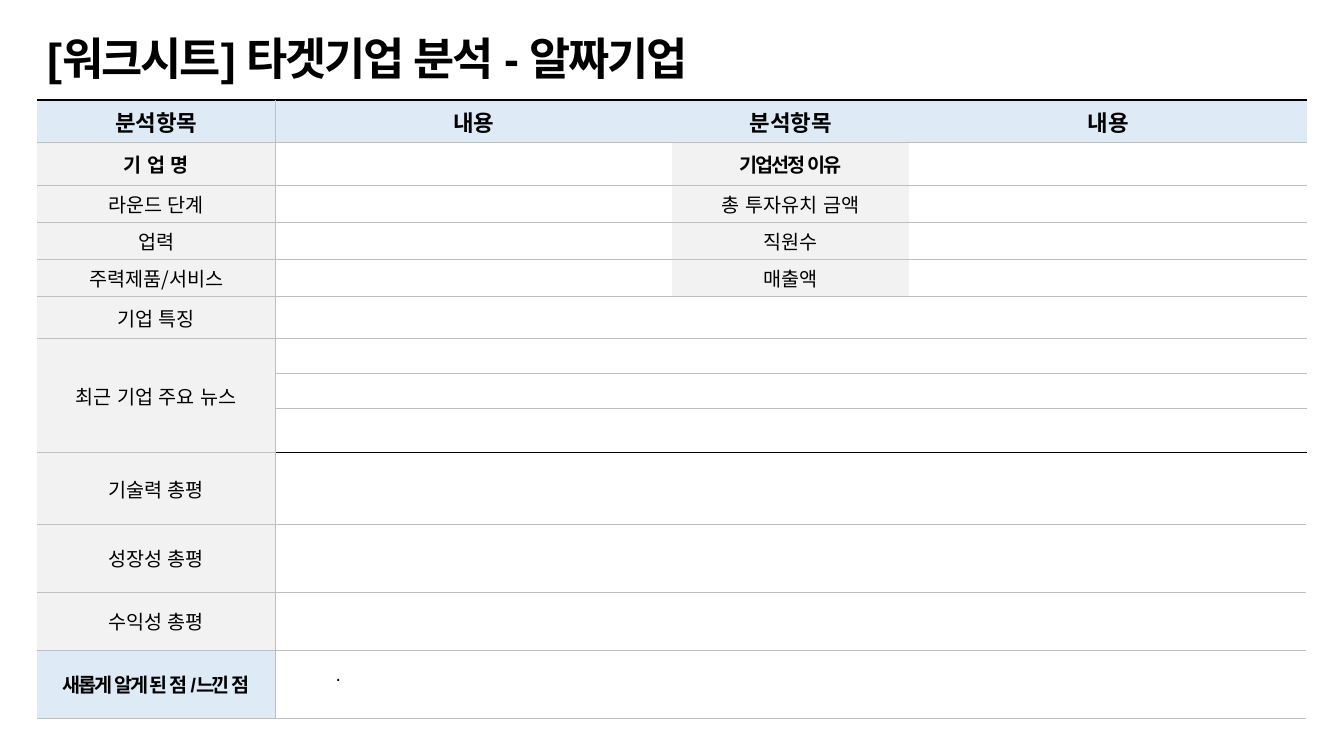
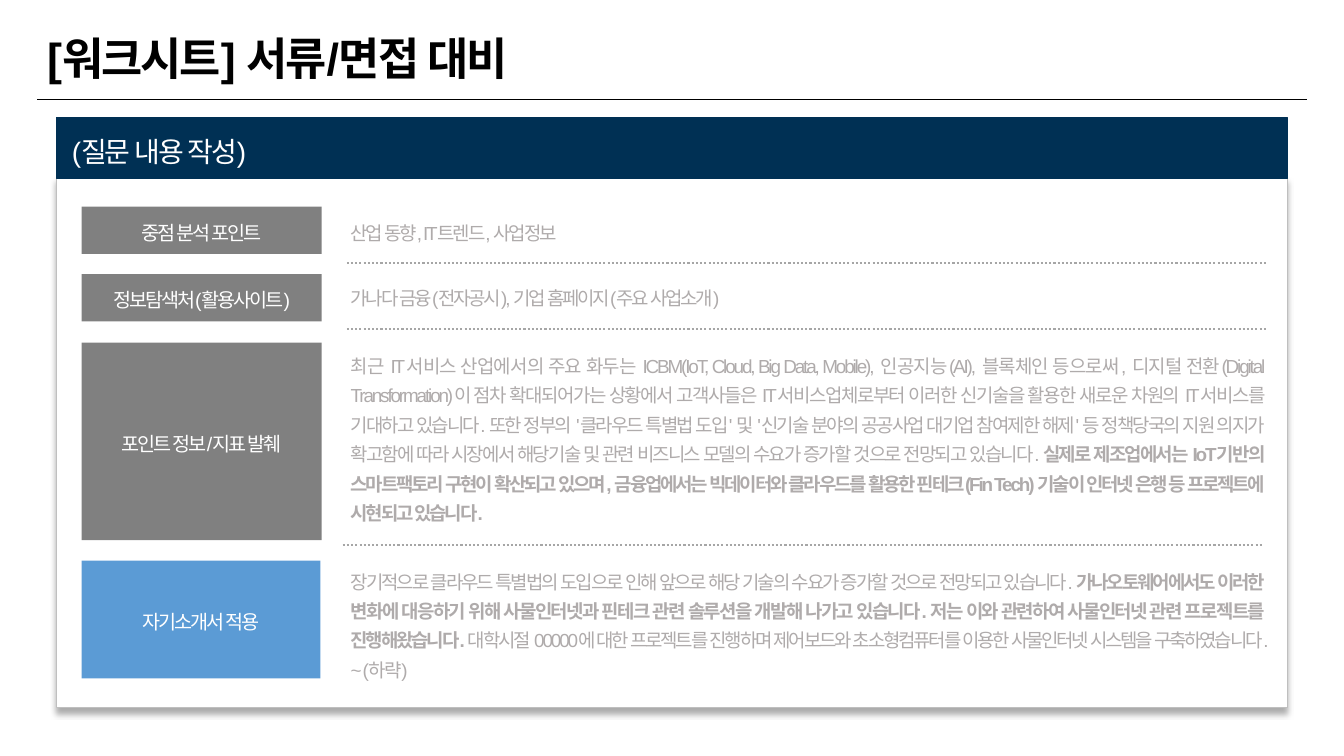
from dataclasses import dataclass

from lxml import etree
from pptx import Presentation
from pptx.dml.color import RGBColor
from pptx.enum import dml, lang, shapes, text
from pptx.oxml import ns
from pptx.util import Pt


@dataclass(frozen=True)
class Theme:
    black: str = "000000"
    white: str = "FFFFFF"
    navy: str = "003054"
    blue: str = "5B9BD5"
    pale_blue: str = "DEEBF7"
    gray: str = "808080"
    pale_gray: str = "F2F2F2"
    border: str = "BFBFBF"
    dots: str = "A6A6A6"
    answer: str = "AFABAB"
    latin: str = "Arial"
    korean: str = "Noto Sans CJK KR"
    title: float = 32
    question: float = 20
    head: float = 16
    label: float = 14
    body: float = 13.5
    tight: float = -1.5


T = Theme()
LEFT, RULE_Y, WIDTH = 26.6, 71.3, 907.2
CENTER, JUSTIFY = text.PP_ALIGN.CENTER, text.PP_ALIGN.JUSTIFY
MIDDLE = text.MSO_ANCHOR.MIDDLE


def write(tf, runs, size=T.label, color=T.black, bold=False, font=T.latin,
          spacing=T.tight, align=None, anchor=None, line=None, before=None):
    """Fill a text frame with one paragraph; runs is a string or (text, bold) pairs."""
    tf.word_wrap = True
    if anchor is not None:
        tf.vertical_anchor = anchor
    p = tf.paragraphs[0]
    p.alignment, p.line_spacing = align, line
    if before:
        p.space_before = Pt(before)
    for content, strong in [(runs, bold)] if isinstance(runs, str) else runs:
        r = p.add_run()
        r.text = content
        r.font.size, r.font.bold, r.font.name = Pt(size), strong, font
        r.font.color.rgb = RGBColor.from_string(color)
        r.font.language_id = lang.MSO_LANGUAGE_ID.KOREAN
        rpr = r._r.get_or_add_rPr()
        rpr.set("spc", str(int(spacing * 100)))
        etree.SubElement(rpr, ns.qn("a:ea"), typeface=T.korean)


def set_borders(cell, **edges):
    """Give each side (L, R, T, B) a (colour, points) line, or none."""
    tcpr = cell._tc.get_or_add_tcPr()
    for side in "LRTB":
        color, weight = edges.get(side) or (None, 0)
        ln = etree.SubElement(tcpr, ns.qn(f"a:ln{side}"), w=str(Pt(weight)))
        if color:
            fill = etree.SubElement(ln, ns.qn("a:solidFill"))
            etree.SubElement(fill, ns.qn("a:srgbClr"), val=color)
        else:
            etree.SubElement(ln, ns.qn("a:noFill"))


prs = Presentation()
prs.slide_width, prs.slide_height = Pt(960), Pt(540)

# Shared title
slides = []
for title in ("[워크시트] 타겟기업 분석 - 알짜기업", "[워크시트] 서류/면접 대비"):
    s = prs.slides.add_slide(prs.slide_layouts[6])
    sp = s.shapes.add_textbox(Pt(LEFT), Pt(15.1), Pt(828), Pt(56.9))
    write(sp.text_frame, title, size=T.title, bold=True, anchor=MIDDLE, line=0.9)
    slides.append(s)
analysis, interview = slides

# Slide 1: company analysis, two stacked tables
HEAD = ("분석항목", "내용")
STRONG = ("기 업 명", "기업선정 이유", "새롭게 알게 된 점 /느낀 점")
thin, medium, thick = (T.border, 0.75), (T.black, 1), (T.black, 1.5)
facts = [
    HEAD * 2,
    ("기 업 명", "", "기업선정 이유", ""),
    ("라운드 단계", "", "총 투자유치 금액", ""),
    ("업력", "", "직원수", ""),
    ("주력제품/서비스", "", "매출액", ""),
    ("기업 특징", "", "", ""),
    ("최근 기업 주요 뉴스", "", "", ""),
    ("", "", "", ""),
    ("", "", "", ""),
]
reviews = [("기술력 총평", ""), ("성장성 총평", ""), ("수익성 총평", ""),
           ("새롭게 알게 된 점 /느낀 점", ".")]
news_row = 6
news_merges = [(r, 1, r, 3) for r in range(news_row - 1, len(facts))]
tables = [
    (RULE_Y, facts, (170, 283.6, 169.2, 284.4),
     (30.7, 30.7, 26.4, 26.4, 26.4, 30, 25, 25, 31.5),
     news_merges + [(news_row, 0, len(facts) - 1, 0)]),
    (323.4, reviews, (170, 736.6), (51, 48.5, 41.5, 49), []),
]
for top, rows, widths, heights, merges in tables:
    tbl = analysis.shapes.add_table(len(rows), len(widths), Pt(LEFT), Pt(top),
                                    Pt(sum(widths)), Pt(sum(heights))).table
    tbl.first_row = tbl.horz_banding = False
    for column, w in zip(tbl.columns, widths):
        column.width = Pt(w)
    for row, h in zip(tbl.rows, heights):
        row.height = Pt(h)
    for i, labels in enumerate(rows):
        for j, label in enumerate(labels):
            cell = tbl.cell(i, j)
            is_head, is_strong = label in HEAD, label in STRONG
            upper, lower = thin, thin
            if is_head:
                upper = thick
            if rows is facts and i == len(facts) - 1 and j:
                lower = medium
            if rows is reviews and i == 0 and j:
                upper = medium
            set_borders(cell, T=upper, B=lower,
                        R=thin if j == 0 else None, L=thin if j == 1 else None)
            blue = is_head or label == reviews[-1][0]
            gray = j == 0 or (label and label != ".")
            cell.fill.solid()
            cell.fill.fore_color.rgb = RGBColor.from_string(
                T.pale_blue if blue else T.pale_gray if gray else T.white)
            cell.margin_left = cell.margin_right = Pt(2)
            cell.margin_top = cell.margin_bottom = Pt(2 if label else 0)
            if label == ".":
                cell.margin_left = Pt(43.2)
                write(cell.text_frame, label, line=1.5)
            elif label:
                cell.vertical_anchor = MIDDLE
                write(cell.text_frame, label, size=T.head if is_head else T.label,
                      bold=is_head or is_strong,
                      font=T.latin if is_strong else T.korean,
                      spacing=T.tight if is_strong and label != STRONG[0] else 0,
                      align=CENTER, before=None if label in STRONG[:2] else 3)
    for r1, c1, r2, c2 in merges:
        tbl.cell(r1, c1).merge(tbl.cell(r2, c2))

# Slide 2: card, question bar and labels
CARD_X, CARD_W, LABEL_X, LABEL_W = 40.3, 879.1, 58.3, 171.4
boxes = [
    (CARD_X, 126.7, CARD_W, 378.7, T.white, T.border, ""),
    (CARD_X, 84.2, CARD_W, 43.2, T.navy, T.navy, "(질문 내용 작성)"),
    (LABEL_X, 147.6, LABEL_W, 33.8, T.gray, None, "중점 분석 포인트"),
    (LABEL_X, 195.8, LABEL_W, 33.8, T.gray, None, "정보탐색처(활용사이트)"),
    (LABEL_X, 244.8, LABEL_W, 141.1, T.gray, None, "포인트 정보/지표 발췌"),
    (LABEL_X, 400.5, LABEL_W - 0.8, 84.2, T.blue, None, "자기소개서 적용"),
]
for x, y, w, h, fill, outline, label in boxes:
    sp = interview.shapes.add_shape(shapes.MSO_SHAPE.RECTANGLE, Pt(x), Pt(y), Pt(w), Pt(h))
    sp.shadow.inherit = False
    sp.fill.solid()
    sp.fill.fore_color.rgb = RGBColor.from_string(fill)
    if outline:
        sp.line.color.rgb = RGBColor.from_string(outline)
        sp.line.width = Pt(0.75)
    else:
        sp.line.fill.background()
    if not label:
        effects = sp._element.spPr.find(ns.qn("a:effectLst"))
        shadow = etree.SubElement(effects, ns.qn("a:outerShdw"), blurRad=str(Pt(4)),
                                  dist=str(Pt(4)), dir="5400000", rotWithShape="0")
        tint = etree.SubElement(shadow, ns.qn("a:srgbClr"), val=T.black)
        etree.SubElement(tint, ns.qn("a:alpha"), val="32000")
        continue
    is_question = fill == T.navy
    if is_question:
        sp.text_frame.margin_left = Pt(11)
    write(sp.text_frame, label, size=T.question if is_question else T.label,
          color=T.white, anchor=MIDDLE, line=1.2,
          align=text.PP_ALIGN.LEFT if is_question else CENTER)

answers = [
    (151.2, 26.6, 1.2, "산업 동향, IT트렌드, 사업정보"),
    (198, 26.6, 1.2, "가나다 금융(전자공시), 기업 홈페이지(주요 사업소개)"),
    (244.8, 134.6, 1.3, [
        ("최근 IT서비스 산업에서의 주요 화두는 ICBM(IoT, Cloud, Big Data, Mobile), "
         "인공지능(AI), 블록체인 등으로써, 디지털 전환(Digital Transformation)이 점차 "
         "확대되어가는 상황에서 고객사들은 IT서비스업체로부터 이러한 신기술을 활용한 새로운 "
         "차원의 IT서비스를 기대하고 있습니다. 또한 정부의 '클라우드 특별법 도입' 및 "
         "'신기술 분야의 공공사업 대기업 참여제한 해제' 등 정책당국의 지원 의지가 확고함에 "
         "따라 시장에서 해당기술 및 관련 비즈니스 모델의 수요가 증가할 것으로 전망되고 "
         "있습니다. ", False),
        ("실제로 제조업에서는 IoT기반의 스마트팩토리 구현이 확산되고 있으며, 금융업에서는 "
         "빅데이터와 클라우드를 활용한 핀테크(Fin Tech) 기술이 인터넷 은행 등 프로젝트에 "
         "시현되고 있습니다.", True)]),
    (398.9, 92.2, 1.3, [
        ("장기적으로 클라우드 특별법의 도입으로 인해 앞으로 해당 기술의 수요가 증가할 것으로 "
         "전망되고 있습니다. ", False),
        ("가나오토웨어에서도 이러한 변화에 대응하기 위해 사물인터넷과 핀테크 관련 솔루션을 "
         "개발해 나가고 있습니다. 저는 이와 관련하여 사물인터넷 관련 프로젝트를 "
         "진행해왔습니다. ", True),
        ("대학시절 00000에 대한 프로젝트를 진행하며 제어보드와 초소형컴퓨터를 이용한 "
         "사물인터넷 시스템을 구축하였습니다.~ (하략)", False)]),
]
for y, h, spacing, content in answers:
    sp = interview.shapes.add_textbox(Pt(243.4), Pt(y), Pt(666), Pt(h))
    write(sp.text_frame, content, size=T.body, color=T.answer, align=JUSTIFY, line=spacing)

# Title rules and dotted separators
rules = [(s, LEFT, RULE_Y, WIDTH, T.black, 0.5, None) for s in slides]
rules += [(interview, x, y, 657.4, T.dots, 1.5, dml.MSO_LINE.ROUND_DOT)
          for x, y in ((247.7, 187.9), (247.7, 234.7), (244.8, 389.5))]
for s, x, y, w, color, weight, dash in rules:
    line = s.shapes.add_connector(shapes.MSO_CONNECTOR.STRAIGHT, Pt(x), Pt(y), Pt(x + w), Pt(y))
    line.line.color.rgb = RGBColor.from_string(color)
    line.line.width = Pt(weight)
    if dash:
        line.line.dash_style = dash
    etree.SubElement(line._element.spPr, ns.qn("a:effectLst"))

prs.save("out.pptx")
